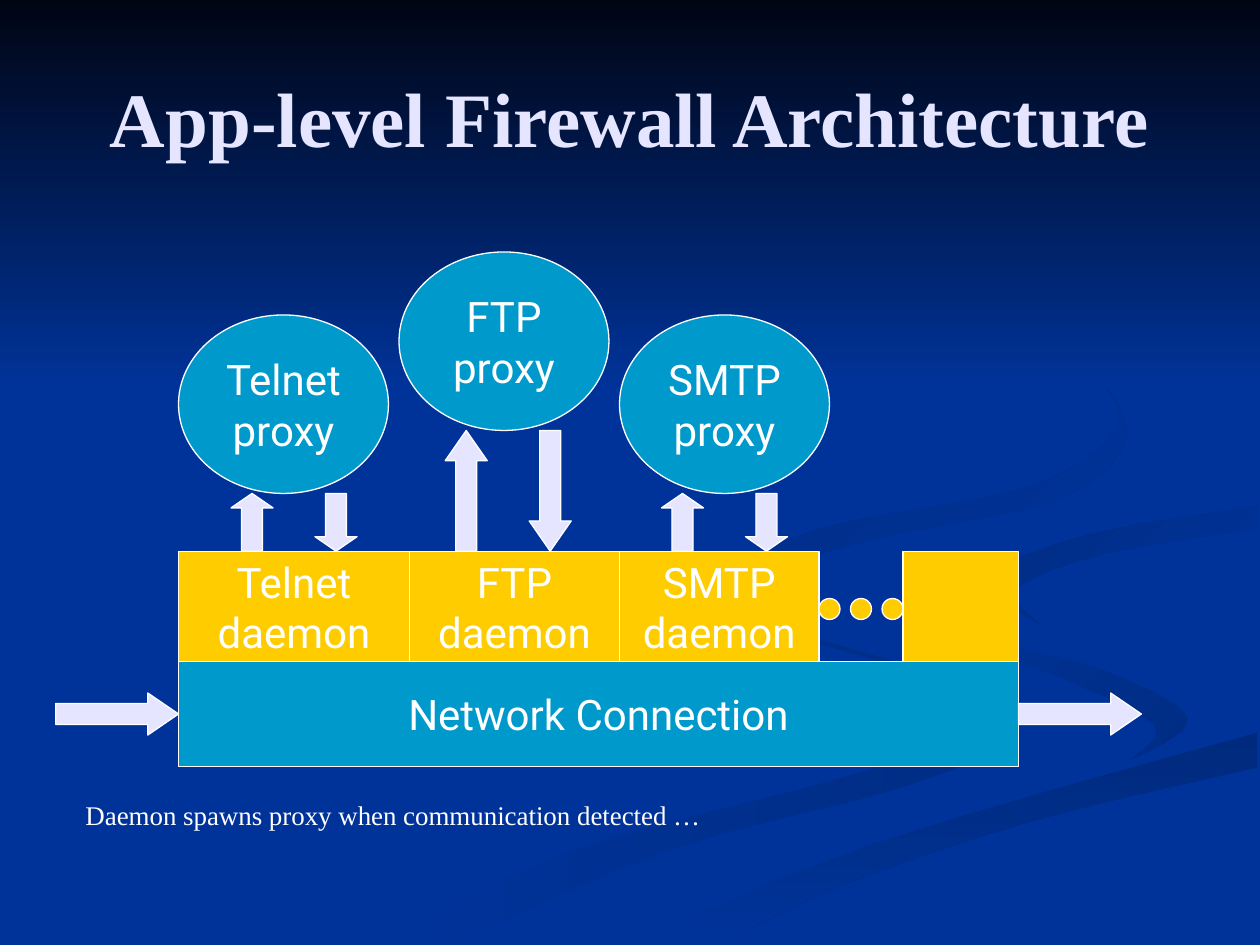
"""Build the application-level firewall architecture slide."""
from dataclasses import dataclass

from pptx import Presentation
from pptx.dml.color import RGBColor
from pptx.enum.shapes import MSO_SHAPE as Shp
from pptx.enum.text import MSO_ANCHOR as Anchor, PP_ALIGN as Align
from pptx.util import Inches, Pt

NAVY = RGBColor(0x00, 0x33, 0x99)
NIGHT = RGBColor(0x00, 0x05, 0x14)
SHADE = RGBColor(0x00, 0x2C, 0x84)
DEEP = RGBColor(0x00, 0x2A, 0x7D)
TEAL = RGBColor(0x00, 0x99, 0xCC)
GOLD = RGBColor(0xFF, 0xCC, 0x00)
LILAC = RGBColor(0xE5, 0xE5, 0xFF)
WHITE = RGBColor(0xFF, 0xFF, 0xFF)
SERIF, SANS = "Times New Roman", "Roboto"
CELL = Inches(1) / 12
STEPS = 4


@dataclass(frozen=True)
class Swoosh:
    """A ribbon between two smooth edges, in inches."""
    start: RGBColor
    end: RGBColor
    angle: int
    edges: tuple


@dataclass(frozen=True)
class Service:
    """A daemon with its proxy and the arrows between them, in grid cells."""
    name: str
    left: float
    width: float
    proxy_left: float
    proxy_top: float
    up_left: float
    head: float


SWOOSHES = (
    Swoosh(NAVY, SHADE, 0, (
        ((5.75, 4.6), (6.02, 4.95), (7.14, 5.3), (7.86, 5.66),
         (6.84, 6.13), (4.58, 6.74), (3, 7.49)),
        ((3.61, 7.49), (5.32, 6.74), (7.21, 6.23), (8, 5.81),
         (7.31, 5.33), (6.14, 4.96), (5.75, 4.6)))),
    Swoosh(NAVY, SHADE, 45, (
        ((7.24, 4.64), (7.58, 4.98), (8.7, 5.3), (9.43, 5.7), (8.94, 6.05)),
        ((8.94, 6.05), (9.17, 5.76), (8.38, 5.36), (7.55, 5.05), (7.24, 4.64)))),
    Swoosh(DEEP, NAVY, 90, (
        ((5.03, 7.49), (6.3, 6.93), (7.64, 6.47), (9.98, 5.81)),
        ((9.98, 6.09), (8.21, 6.51), (6.7, 7.02), (5.71, 7.49)))),
    Swoosh(NAVY, NAVY, 0, (
        ((9.99, 3.87), (8.3, 4.15), (7.25, 4.64), (7.75, 5.03), (8.89, 5.35),
         (9.43, 5.7), (8.92, 6.05), (7.04, 6.55), (4.77, 7.49)),
        ((5.03, 7.49), (6.3, 6.93), (7.65, 6.47), (9.99, 5.81)),
        ((9.99, 5.38), (8.48, 5.03), (7.81, 4.63), (8.5, 4.27), (9.99, 4.02)))),
    Swoosh(SHADE, NAVY, 45, (
        ((9.98, 4.02), (8.65, 4.24), (7.81, 4.6), (8.26, 4.96)),
        ((8.26, 4.96), (8.06, 4.68), (8.78, 4.39), (9.98, 4.2)))),
    Swoosh(SHADE, NAVY, 45, (
        ((7.62, 2.33), (8.54, 2.83), (8.94, 3.44), (8.41, 3.96), (6.83, 4.3),
         (5.94, 4.65), (6.22, 5)),
        ((6.22, 5), (5.77, 4.62), (6.49, 4.2), (8.18, 3.86), (8.89, 3.35),
         (8.46, 2.79), (7.62, 2.33)))),
    Swoosh(NIGHT, NAVY, 90, (((0, 0), (10, 0)), ((10, 3.08), (0, 3.08)))),
)

SERVICES = (
    Service("Telnet", 17, 22, 17, 30, 22, 0.344),
    Service("FTP", 39, 20, 38, 24, 42.4, 0.72),
    Service("SMTP", 59, 19, 59, 30, 63, 0.344),
)
DAEMON_TOP, DAEMON_H = 52.5, 10.5
PROXY_W, PROXY_H = 20, 17
ARROW = 4


def smooth(edge: tuple) -> list:
    """Return points on a Catmull-Rom curve through the edge's points."""
    knots = [edge[0], *edge, edge[-1]]
    curve = [edge[0]]
    for a, b, c, d in zip(knots, knots[1:], knots[2:], knots[3:]):
        for t in (i / STEPS for i in range(1, STEPS + 1)):
            curve.append(tuple(
                q + t / 2 * (r - p + t * (2 * p - 5 * q + 4 * r - s
                                          + t * (3 * q - p - 3 * r + s)))
                for p, q, r, s in zip(a, b, c, d)))
    return curve


def write(tf, text: str, *, font=SANS, size=24.0, color=WHITE, bold=False,
          align=Align.CENTER, anchor=Anchor.MIDDLE) -> None:
    """Put one formatted paragraph into a text frame."""
    tf.word_wrap = True
    tf.vertical_anchor = anchor
    p = tf.paragraphs[0]
    p.alignment = align
    r = p.add_run()
    r.text = text
    r.font.name, r.font.size, r.font.bold = font, Pt(size), bold
    r.font.color.rgb = color


def draw_swoosh(slide, swoosh: Swoosh) -> None:
    """Draw one background ribbon."""
    first, *rest = [(Inches(x), Inches(y))
                    for edge in swoosh.edges for x, y in smooth(edge)]
    builder = slide.shapes.build_freeform(*first)
    builder.add_line_segments(rest, close=True)
    sp = builder.convert_to_shape()
    sp.shadow.inherit = False
    sp.line.fill.background()
    if swoosh.start == swoosh.end:
        sp.fill.solid()
        sp.fill.fore_color.rgb = swoosh.start
        return
    sp.fill.gradient()
    sp.fill.gradient_angle = -swoosh.angle % 360
    for stop, color, position in zip(sp.fill.gradient_stops,
                                     (swoosh.start, swoosh.end), (0, 1)):
        stop.color.rgb, stop.position = color, position


def draw(slide, kind, left: float, top: float, width: float, height: float,
         color: RGBColor, text: str = "", head: float = 0) -> None:
    """Draw an outlined shape placed in grid cells."""
    box = (round(v * CELL) for v in (left, top, width, height))
    sp = slide.shapes.add_shape(kind, *box)
    sp.shadow.inherit = False
    sp.fill.solid()
    sp.fill.fore_color.rgb = color
    sp.line.color.rgb, sp.line.width = WHITE, Pt(0.75)
    if head:
        sp.adjustments[0], sp.adjustments[1] = 0.5, head
    if text:
        write(sp.text_frame, text)


def draw_service(slide, s: Service) -> None:
    """Draw a daemon, its proxy and the pair of arrows joining them."""
    draw(slide, Shp.RECTANGLE, s.left, DAEMON_TOP, s.width, DAEMON_H, GOLD,
         f"{s.name} daemon")
    draw(slide, Shp.OVAL, s.proxy_left, s.proxy_top, PROXY_W, PROXY_H, TEAL,
         f"{s.name} proxy")
    top = s.proxy_top + PROXY_H
    for i, kind in enumerate((Shp.UP_ARROW, Shp.DOWN_ARROW)):
        draw(slide, kind, s.up_left + 2 * ARROW * i, top, ARROW,
             DAEMON_TOP - top, LILAC, head=s.head)


def main() -> None:
    """Build and save the slide."""
    prs = Presentation()
    prs.slide_width, prs.slide_height = Inches(10), Inches(7.5)
    slide = prs.slides.add_slide(prs.slide_layouts[5])
    slide.background.fill.solid()
    slide.background.fill.fore_color.rgb = NAVY
    for swoosh in SWOOSHES:
        draw_swoosh(slide, swoosh)

    title = slide.shapes.title
    title.left, title.top = Inches(0.5), Inches(0.3)
    title.width, title.height = Inches(9), Inches(1.25)
    write(title.text_frame, "App-level Firewall Architecture", font=SERIF,
          size=44, color=LILAC, bold=True)
    slide.shapes._spTree.append(title._element)

    note = slide.shapes.add_textbox(Inches(0.58), Inches(6.29),
                                    Inches(8.58), Inches(0.37))
    write(note.text_frame, "Daemon spawns proxy when communication detected …",
          font=SERIF, size=15.4, align=Align.LEFT, anchor=Anchor.TOP)
    note.text_frame.paragraphs[0].space_before = Pt(7)

    draw(slide, Shp.RECTANGLE, 17, 63, 80, 10, TEAL, "Network Connection")
    for left in (5.3, 97):
        draw(slide, Shp.RIGHT_ARROW, left, 66, 11.7, ARROW, LILAC, head=0.73)
    for service in SERVICES:
        draw_service(slide, service)
    draw(slide, Shp.RECTANGLE, 86, DAEMON_TOP, 11, DAEMON_H, GOLD)
    for i in range(3):
        draw(slide, Shp.OVAL, 78 + 3 * i, 57, 2, 2, GOLD)
    prs.save("out.pptx")


if __name__ == "__main__":
    main()
